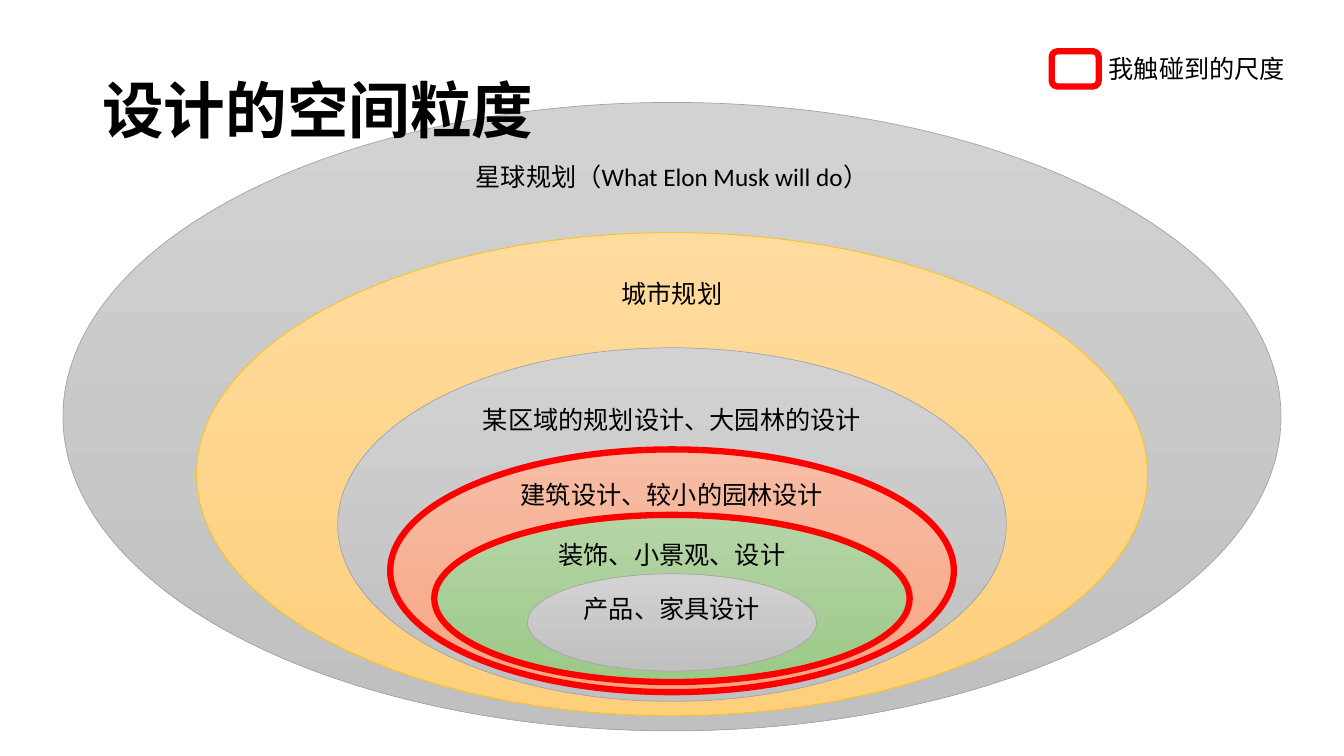
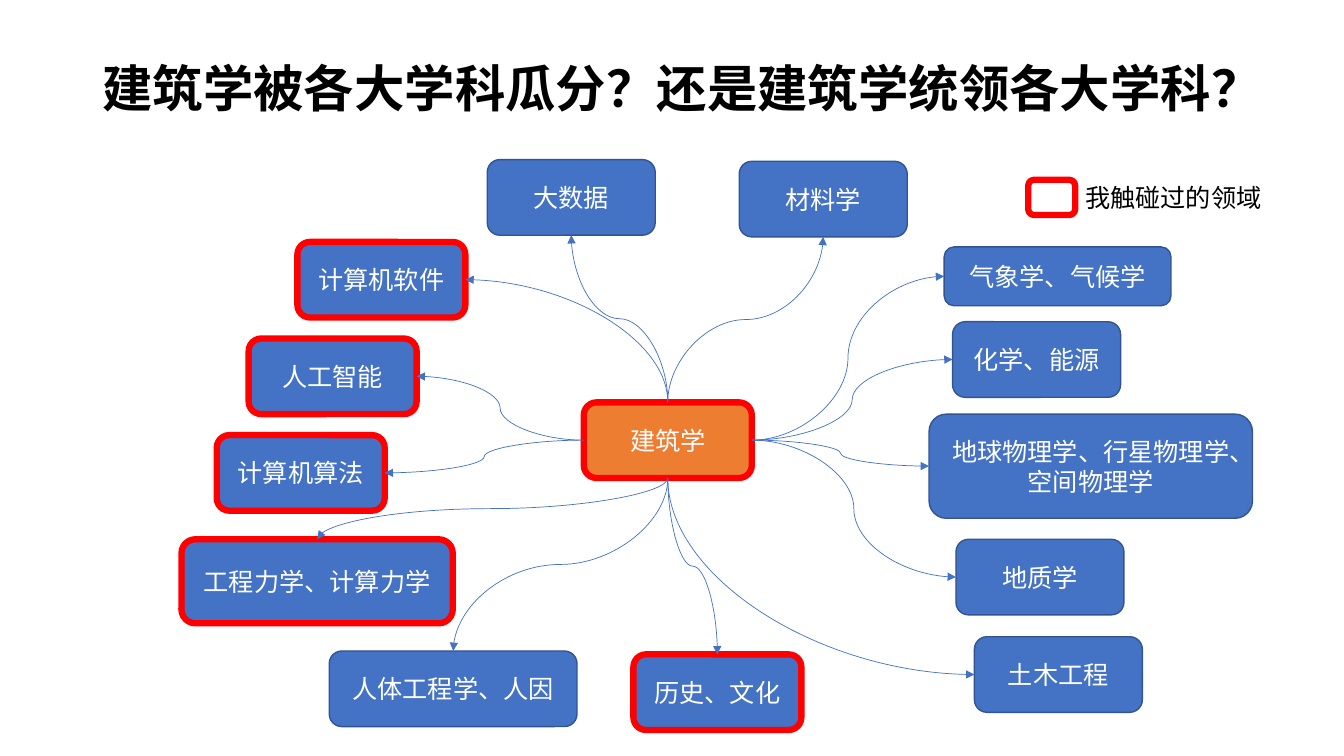
from dataclasses import dataclass
from enum import IntEnum

from lxml import etree
from pptx import Presentation
from pptx import util as u
from pptx.dml.color import RGBColor
from pptx.enum import shapes, text
from pptx.oxml.ns import qn

# Grid: 160 columns by 90 rows of square cells
SLIDE_WIDTH, SLIDE_HEIGHT = u.Inches(13.333), u.Inches(7.5)
CELL = SLIDE_HEIGHT / 90
CENTRE_COLUMN = 80

FONT = "Calibri"
BODY_SIZE = 18
BLACK = RGBColor(0x00, 0x00, 0x00)
WHITE = RGBColor(0xFF, 0xFF, 0xFF)
RED = RGBColor(0xFF, 0x00, 0x00)
BLUE = RGBColor(0x44, 0x72, 0xC4)
DARK_BLUE = RGBColor(0x32, 0x54, 0x91)
ORANGE = RGBColor(0xED, 0x7D, 0x31)
GOLD = RGBColor(0xFF, 0xC0, 0x00)
GREY = RGBColor(0xA5, 0xA5, 0xA5)
GREY_FADE = (RGBColor(0xD2, 0xD2, 0xD2), RGBColor(0xC0, 0xC0, 0xC0))
GOLD_FADE = (RGBColor(0xFF, 0xDB, 0x9E), RGBColor(0xFF, 0xD0, 0x7C))
ORANGE_FADE = (RGBColor(0xF7, 0xBD, 0xA5), RGBColor(0xF8, 0xA5, 0x82))
GREEN_FADE = (RGBColor(0xB5, 0xD5, 0xA7), RGBColor(0x9C, 0xC9, 0x87))
THIN, NORMAL, THICK = 0.5, 1, 4.5

ROUNDED = shapes.MSO_SHAPE.FLOWCHART_ALTERNATE_PROCESS
LEFT, CENTRE = text.PP_ALIGN.LEFT, text.PP_ALIGN.CENTER


class Side(IntEnum):
    TOP = 0
    LEFT = 1
    BOTTOM = 2
    RIGHT = 3

    @property
    def vertical(self) -> bool:
        return self in (Side.TOP, Side.BOTTOM)


@dataclass(frozen=True)
class Box:
    column: float
    row: float
    columns: float = 20
    rows: float = 9

    def emu(self) -> list[int]:
        return [round(n * CELL) for n in (self.column, self.row, self.columns, self.rows)]


@dataclass(frozen=True)
class Scale:
    label: str
    row: float
    columns: float
    rows: float
    label_row: float
    fade: tuple[RGBColor, RGBColor] = GREY_FADE
    outline: RGBColor = GREY
    weight: float = THIN


@dataclass(frozen=True)
class Discipline:
    label: str
    box: Box
    leave: Side
    arrive: Side
    touched: bool = False


SCALES = [
    Scale("星球规划（What Elon Musk will do）", 12.2, 145, 74.8, 21),
    Scale("城市规划", 27.7, 113.2, 57.5, 34.9, GOLD_FADE, GOLD),
    Scale("某区域的规划设计、大园林的设计", 41.4, 79.6, 42.1, 49.9),
    Scale("建筑设计、较小的园林设计", 53.5, 67.1, 28.9, 58.9, ORANGE_FADE, RED, THICK),
    Scale("装饰、小景观、设计", 61.3, 56.6, 19.9, 66, GREEN_FADE, RED, THICK),
    Scale("产品、家具设计", 68.3, 34.4, 11.6, 72.4),
]

HUB_BOX = Box(69.5, 47.9)
DISCIPLINES = [
    Discipline("大数据", Box(58, 19), Side.TOP, Side.BOTTOM),
    Discipline("材料学", Box(88, 19.2), Side.TOP, Side.BOTTOM),
    Discipline("计算机软件", Box(35.4, 28.8), Side.TOP, Side.RIGHT, True),
    Discipline("人工智能", Box(29.6, 40.3), Side.LEFT, Side.RIGHT, True),
    Discipline("计算机算法", Box(25.8, 51.8), Side.LEFT, Side.RIGHT, True),
    Discipline("气象学、气候学", Box(112.4, 29.4, 27, 7), Side.RIGHT, Side.LEFT),
    Discipline("化学、能源", Box(113.4, 38.3), Side.RIGHT, Side.LEFT),
    Discipline("地球物理学、行星物理学、空间物理学", Box(110.6, 49.3, 38.5, 12.4),
               Side.RIGHT, Side.LEFT),
    Discipline("地质学", Box(113.8, 64.2), Side.RIGHT, Side.LEFT),
    Discipline("工程力学、计算力学", Box(21.6, 64.2, 32.3, 10), Side.BOTTOM, Side.TOP, True),
    Discipline("人体工程学、人因", Box(39.2, 77.5, 29.5, 9), Side.BOTTOM, Side.TOP),
    Discipline("历史、文化", Box(75.4, 77.9), Side.BOTTOM, Side.TOP, True),
    Discipline("土木工程", Box(116, 75.8), Side.BOTTOM, Side.LEFT),
]


def write(shape, words: str, size: float = BODY_SIZE, color: RGBColor = BLACK,
          align=CENTRE, bold: bool = False, wrap: bool = True):
    frame = shape.text_frame
    frame.word_wrap = wrap
    frame.vertical_anchor = text.MSO_ANCHOR.MIDDLE
    paragraph = frame.paragraphs[0]
    paragraph.text = words
    paragraph.alignment = align
    paragraph.font.name = FONT
    paragraph.font.size = u.Pt(size)
    paragraph.font.bold = bold
    paragraph.font.color.rgb = color
    return paragraph


def add_text(slide, box: Box, words: str, **style):
    return write(slide.shapes.add_textbox(*box.emu()), words, **style)


def add_outlined(slide, kind, box: Box, outline: RGBColor, weight: float):
    shape = slide.shapes.add_shape(kind, *box.emu())
    shape.shadow.inherit = False
    shape.line.color.rgb = outline
    shape.line.width = u.Pt(weight)
    return shape


def add_title(slide, words: str, size: float, box: Box) -> None:
    paragraph = add_text(slide, box, words, size=size, align=LEFT, bold=True)
    paragraph.line_spacing = 0.9


def add_legend(slide, column: float, row: float, words: str) -> None:
    key = add_outlined(slide, ROUNDED, Box(column, row, 5.6, 4.2), RED, THICK)
    key.fill.background()
    add_text(slide, Box(column + 5.6, row - 0.3, 23.6, 4.8), words, align=LEFT, wrap=False)


def add_scale(slide, scale: Scale) -> None:
    box = Box(CENTRE_COLUMN - scale.columns / 2, scale.row, scale.columns, scale.rows)
    ellipse = add_outlined(slide, shapes.MSO_SHAPE.OVAL, box, scale.outline, scale.weight)
    ellipse.fill.gradient()
    ellipse.fill.gradient_angle = 270
    for stop, color in zip(ellipse.fill.gradient_stops, scale.fade):
        stop.color.rgb = color
    add_text(slide, Box(CENTRE_COLUMN - 30, scale.label_row - 2.4, 60, 4.8), scale.label)


def add_node(slide, box: Box, words: str, fill: RGBColor, touched: bool):
    outline, weight = (RED, THICK) if touched else (DARK_BLUE, NORMAL)
    node = add_outlined(slide, ROUNDED, box, outline, weight)
    node.fill.solid()
    node.fill.fore_color.rgb = fill
    write(node, words, color=WHITE)
    return node


def turn_upright(connector) -> None:
    """Rotate a curve so that it leaves its start vertically."""
    start_x, start_y = connector.begin_x, connector.begin_y
    end_x, end_y = connector.end_x, connector.end_y
    right, up = end_x > start_x, end_y < start_y
    width, height = abs(end_y - start_y), abs(end_x - start_x)
    connector.left = (start_x + end_x - width) // 2
    connector.top = (start_y + end_y - height) // 2
    connector.width, connector.height = width, height
    transform = connector.element.spPr.find(qn("a:xfrm"))
    transform.set("rot", str((90 if right == up else 270) * 60000))
    transform.set("flipH", str(int(right)))
    transform.set("flipV", str(int(up)))


def add_curve(slide, hub, node, leave: Side, arrive: Side) -> None:
    connector = slide.shapes.add_connector(shapes.MSO_CONNECTOR.CURVE, 0, 0, 0, 0)
    connector.begin_connect(hub, int(leave))
    connector.end_connect(node, int(arrive))
    connector.line.color.rgb = BLUE
    connector.line.width = u.Pt(THIN)
    properties = connector.element.spPr
    if leave.vertical:
        turn_upright(connector)
    if leave.vertical != arrive.vertical:
        properties.find(qn("a:prstGeom")).set("prst", "curvedConnector2")
    etree.SubElement(properties.find(qn("a:ln")), qn("a:tailEnd")).set("type", "triangle")
    etree.SubElement(properties, qn("a:effectLst"))


def build_scales(slide) -> None:
    for scale in SCALES:
        add_scale(slide, scale)
    add_title(slide, "设计的空间粒度", 44, Box(11, 4.8, 108.7, 17.4))
    add_legend(slide, 125.2, 6.1, "我触碰到的尺度")


def build_disciplines(slide) -> None:
    add_title(slide, "建筑学被各大学科瓜分？还是建筑学统领各大学科？", 36, Box(11, 4.8, 138, 12.1))
    hub = add_node(slide, HUB_BOX, "建筑学", ORANGE, True)
    for item in DISCIPLINES:
        node = add_node(slide, item.box, item.label, BLUE, item.touched)
        add_curve(slide, hub, node, item.leave, item.arrive)
    add_legend(slide, 122.4, 21.4, "我触碰过的领域")


def main() -> None:
    presentation = Presentation()
    presentation.slide_width, presentation.slide_height = SLIDE_WIDTH, SLIDE_HEIGHT
    blank = presentation.slide_layouts[6]
    for build in (build_scales, build_disciplines):
        build(presentation.slides.add_slide(blank))
    presentation.save("out.pptx")


if __name__ == "__main__":
    main()
